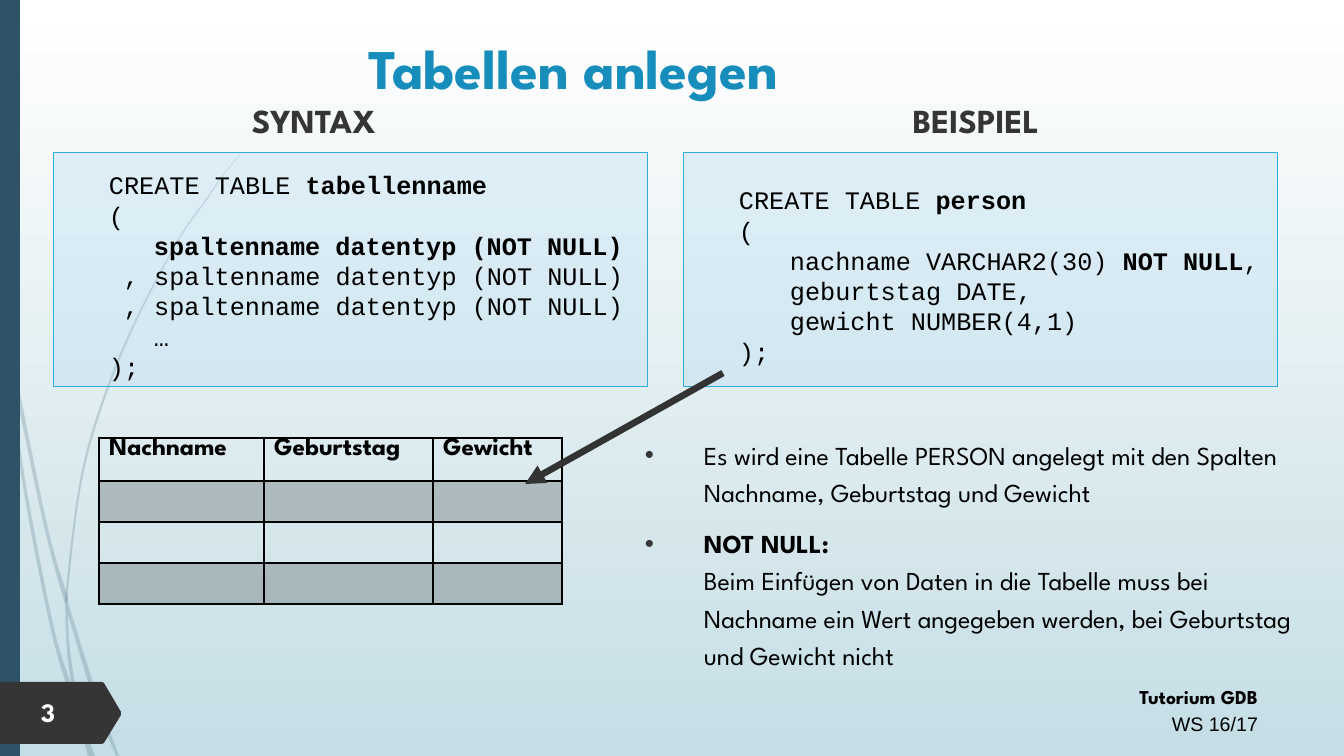
from lxml.etree import SubElement
from pptx import Presentation
from pptx.dml.color import RGBColor
from pptx.enum.shapes import MSO_CONNECTOR, MSO_SHAPE
from pptx.enum.text import MSO_ANCHOR, PP_ALIGN
from pptx.oxml.ns import qn
from pptx.util import Emu, Pt

EMU_PER_PX = 914400 / 100.8
HEADING, CODE, PLAIN = "League Spartan", "Courier New", "Arial"
COLORS = {
    "top": "FFFFFF", "bottom": "C5DEE5", "navy": "2E5369", "dark": "353535",
    "title": "178DBB", "panel": "A8D5F0", "panel_line": "2FACDC",
    "black": "000000", "white": "FFFFFF", "arrow": "333333",
}

# Two edges per strand, listed around the outline
STRANDS = [
    ([(0, 284), (6, 325), (8, 353)], [(8, 347), (0, 301)]),
    ([(13, 379), (44, 526), (65, 604)], [(66, 591), (47, 524), (11, 348)]),
    ([(68, 615), (94, 700), (116, 756)], [(119, 756), (98, 698), (71, 612), (68, 601)]),
    ([(81, 717), (92, 756)], [(95, 756), (81, 717)]),
    ([(8, 353), (21, 474), (50, 626), (71, 699), (78, 720)],
     [(76, 713), (72, 688), (53, 624), (24, 473), (13, 379)]),
    ([(65, 604), (67, 651), (72, 688), (74, 698), (81, 717)],
     [(80, 712), (70, 651), (68, 615), (68, 613)]),
    ([(68, 589), (85, 466), (123, 352), (175, 247), (207, 200), (223, 176), (240, 155)],
     [(240, 154), (222, 176), (206, 199), (174, 246), (121, 351), (83, 465), (66, 589),
      (68, 601)]),
    ([(78, 720), (88, 756)], [(91, 756), (78, 720)]),
    ([(66, 591), (65, 604), (68, 613)], [(68, 615), (68, 601)]),
    ([(72, 688), (76, 713), (78, 720), (91, 756)], [(92, 756), (81, 717), (75, 698)]),
]
BADGE = [(0, 682), (102, 682), (104, 683), (121, 712), (121, 715), (104, 743),
         (102, 744), (0, 744)]

# Code lines: indent in px, then (text, bold) runs
PANELS = [
    ("SYNTAX", 172, 54, [
        (0, [("CREATE TABLE ", False), ("tabellenname", True)]),
        (0, [("(", False)]),
        (45, [("spaltenname datentyp (NOT NULL)", True)]),
        (15, [(", spaltenname datentyp (NOT NULL)", False)]),
        (15, [(", spaltenname datentyp (NOT NULL)", False)]),
        (45, [("…", False)]),
        (0, [(");", False)]),
    ]),
    ("BEISPIEL", 834, 684, [
        (0, [("CREATE TABLE ", False), ("person", True)]),
        (0, [("(", False)]),
        (51, [("nachname VARCHAR2(30) ", False), ("NOT NULL", True), (",", False)]),
        (51, [("geburtstag DATE,", False)]),
        (51, [("gewicht NUMBER(4,1)", False)]),
        (0, [(");", False)]),
    ]),
]
TABLE_ROWS = [["Nachname", "Geburtstag", "Gewicht"], [""] * 3, [""] * 3, [""] * 3]
COLUMN_WIDTHS = [165, 169, 129]
ROW_HEIGHTS = [43, 41, 41, 41]
NOTES = [
    [("Es wird eine Tabelle PERSON angelegt mit den Spalten Nachname, Geburtstag "
      "und Gewicht", False)],
    [("NOT NULL:\n", True),
     ("Beim Einfügen von Daten in die Tabelle muss bei Nachname ein Wert angegeben "
      "werden, bei Geburtstag und Gewicht nicht", False)],
]


def px(value):
    return Emu(round(value * EMU_PER_PX))


def rgb(name):
    return RGBColor.from_string(COLORS[name])


def paint(shape, color, opacity=100, line=None):
    shape.shadow.inherit = False
    fill_solid(shape.fill, color, opacity)
    if line:
        shape.line.color.rgb = rgb(line)
        shape.line.width = Pt(0.75)
    else:
        shape.line.fill.background()


def fill_solid(fill, color, opacity):
    fill.solid()
    fill.fore_color.rgb = rgb(color)
    if opacity < 100:
        for element in fill._xPr.iter(qn("a:srgbClr")):
            if element.getparent().getparent() is fill._xPr:
                SubElement(element, qn("a:alpha"), val=str(opacity * 1000))


def write(paragraph, runs, size, font=HEADING, color="black", align=PP_ALIGN.LEFT,
          indent=0, hanging=0, spacing=None):
    """Fill a paragraph with (text, bold) runs; a trailing newline breaks the line."""
    paragraph.alignment = align
    if spacing:
        paragraph.line_spacing = spacing
    properties = paragraph._p.get_or_add_pPr()
    properties.set("marL", str(px(indent)))
    properties.set("indent", str(px(-hanging)))
    for text, bold in runs:
        run = paragraph.add_run()
        run.text = text.rstrip("\n")
        run.font.size, run.font.name, run.font.bold = Pt(size), font, bold
        run.font.color.rgb = rgb(color)
        if text.endswith("\n"):
            paragraph.add_line_break()


def add_paragraph(frame, index):
    return frame.add_paragraph() if index else frame.paragraphs[0]


def add_text_frame(slide, left, top, width, height, anchor=MSO_ANCHOR.TOP):
    frame = slide.shapes.add_textbox(px(left), px(top), px(width), px(height)).text_frame
    frame.word_wrap = True
    frame.vertical_anchor = anchor
    return frame


def smooth(points, steps=6):
    """Sample a Catmull-Rom curve through the points."""
    padded = [points[0], *points, points[-1]]
    curve = [points[0]]
    for a, b, c, d in zip(padded, padded[1:], padded[2:], padded[3:]):
        for step in range(1, steps + 1):
            t = step / steps
            curve.append(tuple(
                (2 * q + (r - p) * t + (2 * p - 5 * q + 4 * r - s) * t ** 2
                 + (3 * q - p - 3 * r + s) * t ** 3) / 2
                for p, q, r, s in zip(a, b, c, d)))
    return curve


def add_outline(slide, points, color, opacity=100):
    points = [(px(x), px(y)) for x, y in points]
    builder = slide.shapes.build_freeform(*points[0])
    builder.add_line_segments(points[1:], close=True)
    paint(builder.convert_to_shape(), color, opacity)


def add_rectangle(slide, left, top, width, height, **look):
    shape = slide.shapes.add_shape(MSO_SHAPE.RECTANGLE, px(left), px(top), px(width), px(height))
    paint(shape, **look)
    return shape


def add_code_panel(slide, left, lines):
    frame = add_rectangle(slide, left, 153, 594, 234, color="panel", opacity=27,
                          line="panel_line").text_frame
    frame.word_wrap = True
    frame.vertical_anchor = MSO_ANCHOR.MIDDLE
    frame.margin_left, frame.margin_top = px(55), px(16)
    for index, (indent, runs) in enumerate(lines):
        write(add_paragraph(frame, index), runs, 18, font=CODE, indent=indent)


def add_person_table(slide):
    table = slide.shapes.add_table(len(TABLE_ROWS), len(COLUMN_WIDTHS), px(99), px(438),
                                   px(sum(COLUMN_WIDTHS)), px(sum(ROW_HEIGHTS))).table
    table.first_row = table.horz_banding = False
    for column, width in zip(table.columns, COLUMN_WIDTHS):
        column.width = px(width)
    for index, (row, height, texts) in enumerate(zip(table.rows, ROW_HEIGHTS, TABLE_ROWS)):
        row.height = px(height)
        for cell, text in zip(row.cells, texts):
            cell.margin_top = 0
            if text:
                write(cell.text_frame.paragraphs[0], [(text, True)], 18)
            heavy_side = {0: "lnB", 1: "lnT"}.get(index)
            properties = cell._tc.get_or_add_tcPr()
            for side in ("lnL", "lnR", "lnT", "lnB"):
                width = Pt(2 if side == heavy_side else 1)
                border = SubElement(properties, qn("a:" + side), w=str(width))
                solid = SubElement(border, qn("a:solidFill"))
                SubElement(solid, qn("a:srgbClr"), val=COLORS["black"])
            if index % 2:
                fill_solid(cell.fill, "black", 20)
            else:
                cell.fill.background()


def add_notes_list(slide):
    frame = add_text_frame(slide, 635, 428, 681, 255)
    for index, runs in enumerate(NOTES):
        paragraph = add_paragraph(frame, index)
        write(paragraph, runs, 18.5, indent=59, hanging=59, spacing=1.2)
        paragraph.space_before = Pt(10 if index else 0)
        properties = paragraph._p.get_or_add_pPr()
        bullet_color = SubElement(properties, qn("a:buClr"))
        SubElement(bullet_color, qn("a:srgbClr"), val=COLORS["dark"])
        SubElement(properties, qn("a:buFont"), typeface=PLAIN)
        SubElement(properties, qn("a:buChar"), char="•")


def add_arrow(slide):
    arrow = slide.shapes.add_connector(MSO_CONNECTOR.STRAIGHT, px(723), px(373), px(525), px(484))
    arrow.line.color.rgb = rgb("arrow")
    arrow.line.width = Pt(4.75)
    SubElement(arrow.line._get_or_add_ln(), qn("a:tailEnd"), type="triangle")
    SubElement(arrow._element.spPr, qn("a:effectLst"))


def main():
    presentation = Presentation()
    presentation.slide_width, presentation.slide_height = px(1344), px(756)
    slide = presentation.slides.add_slide(presentation.slide_layouts[6])
    background = slide.background.fill
    background.gradient()
    background.gradient_angle = 270
    for stop, position, name in zip(background.gradient_stops, (0, 1), ("top", "bottom")):
        stop.position, stop.color.rgb = position, rgb(name)

    for first_edge, second_edge in STRANDS:
        add_outline(slide, smooth(first_edge) + smooth(second_edge), "navy", 20)
    add_rectangle(slide, 0, 0, 20, 756, color="navy")
    footer = add_text_frame(slide, 744, 677, 524, 65)
    for index, (text, bold, font) in enumerate([("Tutorium GDB", True, HEADING),
                                                ("WS 16/17", False, PLAIN)]):
        write(add_paragraph(footer, index), [(text, bold)], 14, font=font,
              align=PP_ALIGN.RIGHT, spacing=1.14)
    add_outline(slide, BADGE, "dark")
    write(add_text_frame(slide, 31, 691, 71, 42).paragraphs[0], [("3", True)], 19, color="white")
    title = add_text_frame(slide, 121, 26, 904, 82, MSO_ANCHOR.MIDDLE)
    write(title.paragraphs[0], [("Tabellen anlegen", True)], 40, color="title",
          align=PP_ALIGN.CENTER)
    for heading, heading_left, panel_left, lines in PANELS:
        add_code_panel(slide, panel_left, lines)
        frame = add_text_frame(slide, heading_left, 95, 284, 50)
        write(frame.paragraphs[0], [(heading, True)], 24, color="dark", align=PP_ALIGN.CENTER)
    add_person_table(slide)
    add_notes_list(slide)
    add_arrow(slide)
    presentation.save("out.pptx")


if __name__ == "__main__":
    main()
